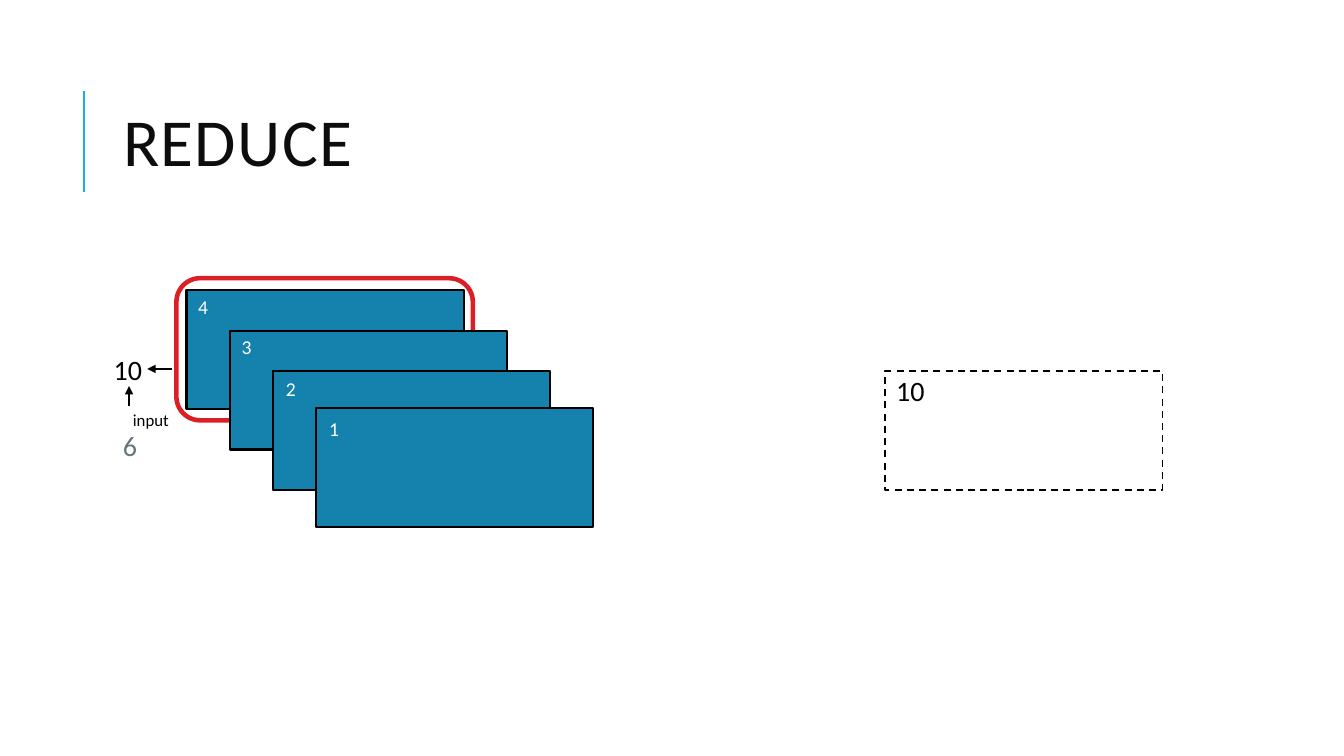
"""Build the slide that shows a reduce over four stacked cards."""
from typing import NamedTuple, Optional

from lxml.etree import SubElement
from pptx import Presentation
from pptx.dml.color import RGBColor
from pptx.enum.dml import MSO_LINE as Dash
from pptx.enum.shapes import MSO_CONNECTOR as Link, MSO_SHAPE as Form
from pptx.enum.text import MSO_ANCHOR as Anchor, MSO_AUTO_SIZE as Fit, PP_ALIGN as Align
from pptx.oxml.ns import qn
from pptx.slide import Slide
from pptx.text.text import TextFrame
from pptx.util import Inches, Length, Pt

BLACK = RGBColor(0x00, 0x00, 0x00)
WHITE = RGBColor(0xFF, 0xFF, 0xFF)
INK = RGBColor(0x0D, 0x0D, 0x0D)
GREY = RGBColor(0x65, 0x75, 0x7D)
BLUE = RGBColor(0x14, 0x82, 0xAC)
SKY = RGBColor(0x1C, 0xAD, 0xE4)
RED = RGBColor(0xDB, 0x1F, 0x25)
FONT = "Calibri"
CELL = 0.1
CARD_W, CARD_H = 27.5, 11.8


class Box(NamedTuple):
    """Place and size in grid columns and rows."""
    col: float
    row: float
    wide: float
    high: float


class Panel(NamedTuple):
    """An outlined shape."""
    box: Box
    line: RGBColor
    width: float
    fill: Optional[RGBColor] = None
    form: Form = Form.RECTANGLE
    dash: Optional[Dash] = None


class Label(NamedTuple):
    """A short text."""
    text: str
    box: Box
    size: float
    color: RGBColor
    align: Align = Align.LEFT


class Rule(NamedTuple):
    """A straight line from one grid point to another."""
    start: tuple[float, float]
    end: tuple[float, float]
    color: RGBColor
    width: float
    arrow: bool = True


class Card(NamedTuple):
    """A numbered card with its row and the place of its number."""
    text: str
    row: float
    num_col: float
    num_row: float


CARDS = [
    Card("4", 28.8, 18.5, 28.8),
    Card("3", 32.8, 22.8, 32.7),
    Card("2", 36.8, 27.2, 36.9),
    Card("1", 40.5, 31.5, 40.9),
]
CARD_COL, CARD_STEP = 18.5, 4.27
RING = Panel(Box(17.5, 27.6, 29.4, 14.1), RED, 3.25, form=Form.ROUNDED_RECTANGLE)
RESULT = Panel(Box(87.8, 36.8, CARD_W, CARD_H), BLACK, 1.25, dash=Dash.DASH)
LABELS = [
    Label("10", Box(87.9, 36.6, 6.6, 4.4), 20, BLACK),
    Label("input", Box(12.2, 40.2, 8.7, 3), 12, BLACK),
    Label("6", Box(11.2, 42, 6.6, 4.4), 20, GREY),
    Label("10", Box(10.3, 34.5, 6.6, 4.4), 20, BLACK),
]
RULES = [
    Rule((8.3, 19), (8.3, 9), SKY, 1.5, arrow=False),
    Rule((12.8, 40.3), (12.8, 38.3), BLACK, 1),
    Rule((17.1, 36.6), (14.6, 36.6), BLACK, 1),
]
TITLE = Label("REDUCE", Box(11.2, 6.4, 106.3, 16.4), 48, INK)


def grid(num: float) -> Length:
    """Turn grid cells into a length."""
    return Inches(num * CELL)


def write(frame: TextFrame, label: Label) -> None:
    """Add the label as one formatted run."""
    par = frame.paragraphs[0]
    par.alignment = label.align
    run = par.add_run()
    run.text = label.text
    run.font.name = FONT
    run.font.size = Pt(label.size)
    run.font.color.rgb = label.color


def add_panel(slide: Slide, panel: Panel) -> None:
    """Draw an outlined shape."""
    shape = slide.shapes.add_shape(panel.form, *map(grid, panel.box))
    shape.shadow.inherit = False
    if panel.fill is None:
        shape.fill.background()
    else:
        shape.fill.solid()
        shape.fill.fore_color.rgb = panel.fill
    shape.line.color.rgb = panel.line
    shape.line.width = Pt(panel.width)
    if panel.dash is not None:
        shape.line.dash_style = panel.dash


def add_label(slide: Slide, label: Label) -> None:
    """Draw a text box."""
    frame = slide.shapes.add_textbox(*map(grid, label.box)).text_frame
    frame.word_wrap = True
    frame.auto_size = Fit.SHAPE_TO_FIT_TEXT
    write(frame, label)


def add_rule(slide: Slide, rule: Rule) -> None:
    """Draw a line or an arrow."""
    line = slide.shapes.add_connector(Link.STRAIGHT, *map(grid, rule.start + rule.end))
    line.line.color.rgb = rule.color
    line.line.width = Pt(rule.width)
    props = line._element.spPr
    SubElement(props, qn("a:effectLst"))
    if rule.arrow:
        SubElement(props.find(qn("a:ln")), qn("a:tailEnd"), type="triangle")


def add_card(slide: Slide, index: int, card: Card) -> None:
    """Draw one card of the stack with its number."""
    box = Box(CARD_COL + index * CARD_STEP, card.row, CARD_W, CARD_H)
    add_panel(slide, Panel(box, BLACK, 1.5, BLUE))
    spot = Box(card.num_col, card.num_row, 3.3, 3.4)
    add_label(slide, Label(card.text, spot, 14, WHITE, Align.CENTER))


def set_title(slide: Slide) -> None:
    """Move and format the title placeholder."""
    title = slide.shapes.title
    title.left, title.top, title.width, title.height = map(grid, TITLE.box)
    frame = title.text_frame
    frame.word_wrap = True
    frame.vertical_anchor = Anchor.MIDDLE
    write(frame, TITLE)
    par = frame.paragraphs[0]
    par.line_spacing = 0.8
    par.runs[0].font._element.set("spc", "100")


def main() -> None:
    """Build and save the slide."""
    deck = Presentation()
    deck.slide_width, deck.slide_height = Inches(13.33), Inches(7.5)
    slide = deck.slides.add_slide(deck.slide_layouts[5])
    set_title(slide)
    for index, card in enumerate(CARDS):
        add_card(slide, index, card)
        if index == 0:
            add_panel(slide, RING)
    add_panel(slide, RESULT)
    for label in LABELS:
        add_label(slide, label)
    for rule in RULES:
        add_rule(slide, rule)
    deck.save("out.pptx")


if __name__ == "__main__":
    main()
